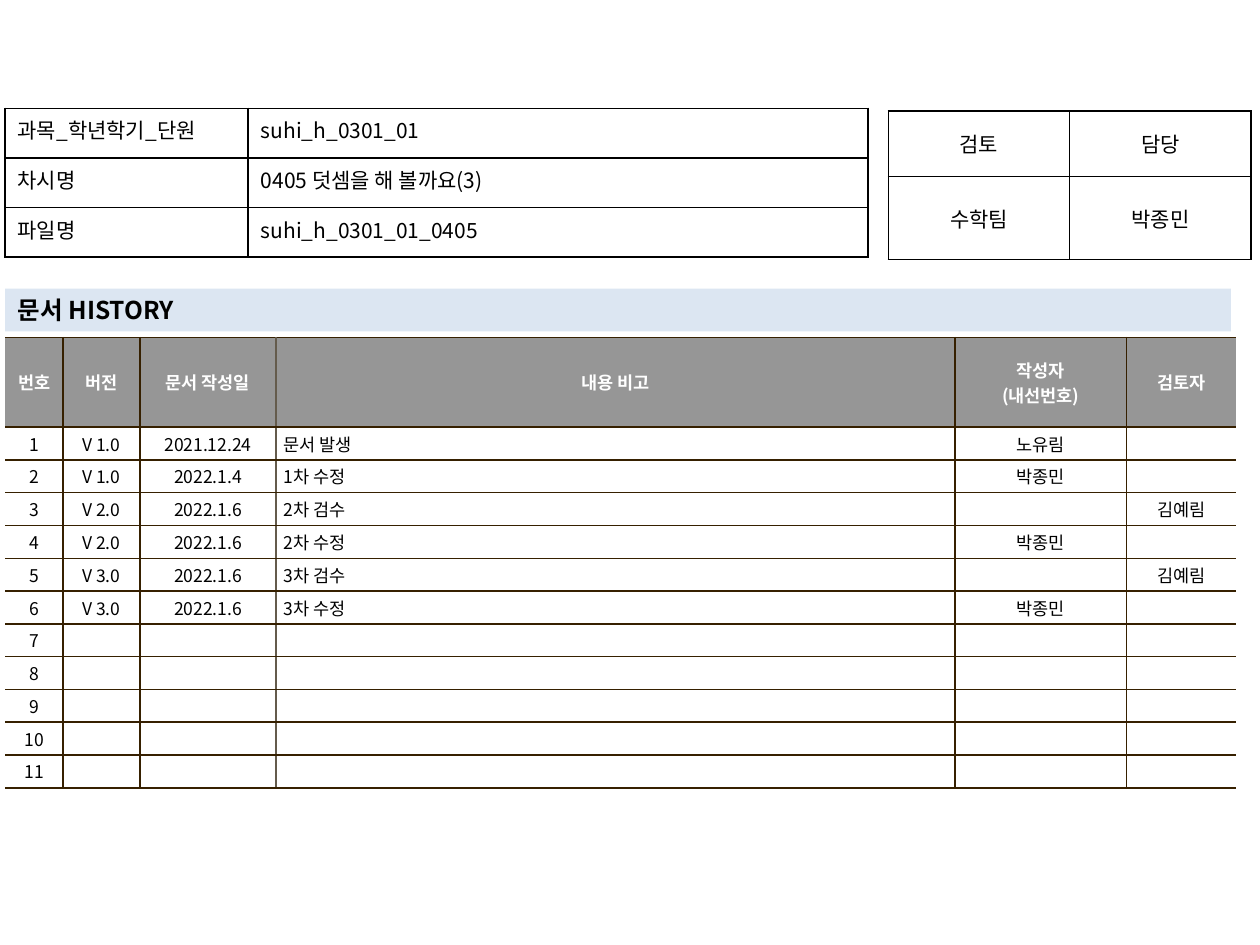
from lxml.etree import SubElement as Sub
from pptx import Presentation
from pptx.dml.color import RGBColor as RGB
from pptx.enum.text import MSO_ANCHOR as Anchor, PP_ALIGN as Align
from pptx.oxml.ns import qn
from pptx.util import Inches, Pt

COLS, ROWS = 100, 75
SIDES = dict(left="a:lnL", right="a:lnR", top="a:lnT", bottom="a:lnB")


def tint(code):
    return RGB.from_string(code)


class Sheet:
    face = "Noto Sans CJK KR"
    ink, edge, soft = "000000", "362000", "645B4C"
    head, pale, white = "969696", "DCE6F2", "FFFFFF"

    def __init__(self):
        self.deck = Presentation()
        self.deck.slide_width, self.deck.slide_height = Inches(10), Inches(7.5)
        self.slide = self.deck.slides.add_slide(self.deck.slide_layouts[5])

    def wide(self, n):
        return round(self.deck.slide_width * n / COLS)

    def high(self, n):
        return round(self.deck.slide_height * n / ROWS)

    def label(self, frame, text, size, color=ink, bold=False, align=Align.LEFT, hang=0):
        for i, line in enumerate(text.split("\n")):
            para = frame.paragraphs[0] if i == 0 else frame.add_paragraph()
            para.alignment = align
            if hang:
                prop = para._p.get_or_add_pPr()
                prop.set("marL", str(self.wide(hang)))
                prop.set("indent", str(-self.wide(hang)))
            if not line:
                Sub(para._p, qn("a:endParaRPr"), sz=str(size * 100))
                continue
            run = para.add_run()
            run.text = line
            form = dict(name=self.face, size=Pt(size), bold=bold)
            for key, val in form.items():
                setattr(run.font, key, val)
            run.font.color.rgb = tint(color)
            Sub(run._r.get_or_add_rPr(), qn("a:ea"), typeface=self.face)

    def title(self, text, x, y, w, h):
        box = self.slide.shapes.title
        place = dict(left=self.wide(x), top=self.high(y), width=self.wide(w), height=self.high(h))
        for key, val in place.items():
            setattr(box, key, val)
        box.fill.solid()
        box.fill.fore_color.rgb = tint(self.pale)
        frame = box.text_frame
        form = dict(word_wrap=True, vertical_anchor=Anchor.MIDDLE)
        for key, val in form.items():
            setattr(frame, key, val)
        self.label(frame, text, 14, bold=True)

    def rule(self, cell, lines):
        prop = cell._tc.get_or_add_tcPr()
        for side, tag in SIDES.items():
            color = lines[side]
            line = Sub(prop, qn(tag), w=str(Pt(1)))
            if color:
                fill = Sub(line, qn("a:solidFill"))
                Sub(fill, qn("a:srgbClr"), val=color)
            else:
                Sub(line, qn("a:noFill"))

    def table(self, data, x, y, cols, rows, walls, edge, style, pad):
        shape = self.slide.shapes.add_table(
            len(rows), len(cols), self.wide(x), self.high(y),
            self.wide(sum(cols)), self.high(sum(rows)))
        grid = shape.table
        grid.first_row = grid.horz_banding = False
        for col, n in zip(grid.columns, cols):
            col.width = self.wide(n)
        for row, n in zip(grid.rows, rows):
            row.height = self.high(n)
        for r, texts in enumerate(data):
            for c, text in enumerate(texts):
                cell = grid.cell(r, c)
                fill, anchor, form = style(r, c)
                inset = dict(
                    margin_left=self.wide(pad), margin_right=self.wide(pad),
                    margin_top=self.high(pad / 2), margin_bottom=self.high(pad / 2),
                    vertical_anchor=anchor)
                for key, val in inset.items():
                    setattr(cell, key, val)
                self.rule(cell, dict(left=walls[c], right=walls[c + 1], top=edge, bottom=edge))
                if fill:
                    cell.fill.solid()
                    cell.fill.fore_color.rgb = tint(fill)
                else:
                    cell.fill.background()
                self.label(cell.text_frame, text, **form)


def info(r, c):
    return None, Anchor.TOP, dict(size=12, align=Align.LEFT if c else Align.JUSTIFY)


def sign(r, c):
    return None, Anchor.MIDDLE, dict(size=12, align=Align.CENTER)


def log(r, c):
    form = dict(size=10, align=Align.CENTER)
    if r == 0:
        form.update(color=Sheet.white, bold=True)
    elif c == 3:
        form.update(align=Align.LEFT, hang=1.9)
    return Sheet.white if r else Sheet.head, Anchor.MIDDLE, form


def main():
    page = Sheet()
    ink, edge = page.ink, page.edge
    notes = [
        ("V 1.0", "2021.12.24", "문서 발생", "노유림", ""),
        ("V 1.0", "2022.1.4", "1차 수정", "박종민", ""),
        ("V 2.0", "2022.1.6", "2차 검수", "", "김예림"),
        ("V 2.0", "2022.1.6", "2차 수정", "박종민", ""),
        ("V 3.0", "2022.1.6", "3차 검수", "", "김예림"),
        ("V 3.0", "2022.1.6", "3차 수정", "박종민", ""),
    ]
    count = 11
    notes += [("",) * 5] * (count - len(notes))
    heads = ("번호", "버전", "문서 작성일", "내용 비고", "작성자\n(내선번호)", "검토자")
    data = [heads] + [(str(i), *note) for i, note in enumerate(notes, 1)]
    page.table(data, 0.4, 26.8, [4.6, 6.1, 10.8, 53.9, 13.6, 8.7], [7.1] + [2.5] * count,
               [None, edge, edge, page.soft, edge, edge, None], edge, log, 0.6)
    page.table([("검토", "담당"), ("수학팀", "박종민")], 70.5, 8.8,
               [14.4] * 2, [5.2, 6.6], [ink] * 3, ink, sign, 1)
    page.title("문서 HISTORY", 0.4, 22.9, 97.3, 3.4)
    facts = [
        ("과목_학년학기_단원", "suhi_h_0301_01"),
        ("차시명", "0405 덧셈을 해 볼까요(3)"),
        ("파일명", "suhi_h_0301_01_0405"),
    ]
    page.table(facts, 0.4, 8.6, [19.3, 49.2], [3.93] * 3, [ink] * 3, ink, info, 1)
    page.deck.save("out.pptx")


if __name__ == "__main__":
    main()
